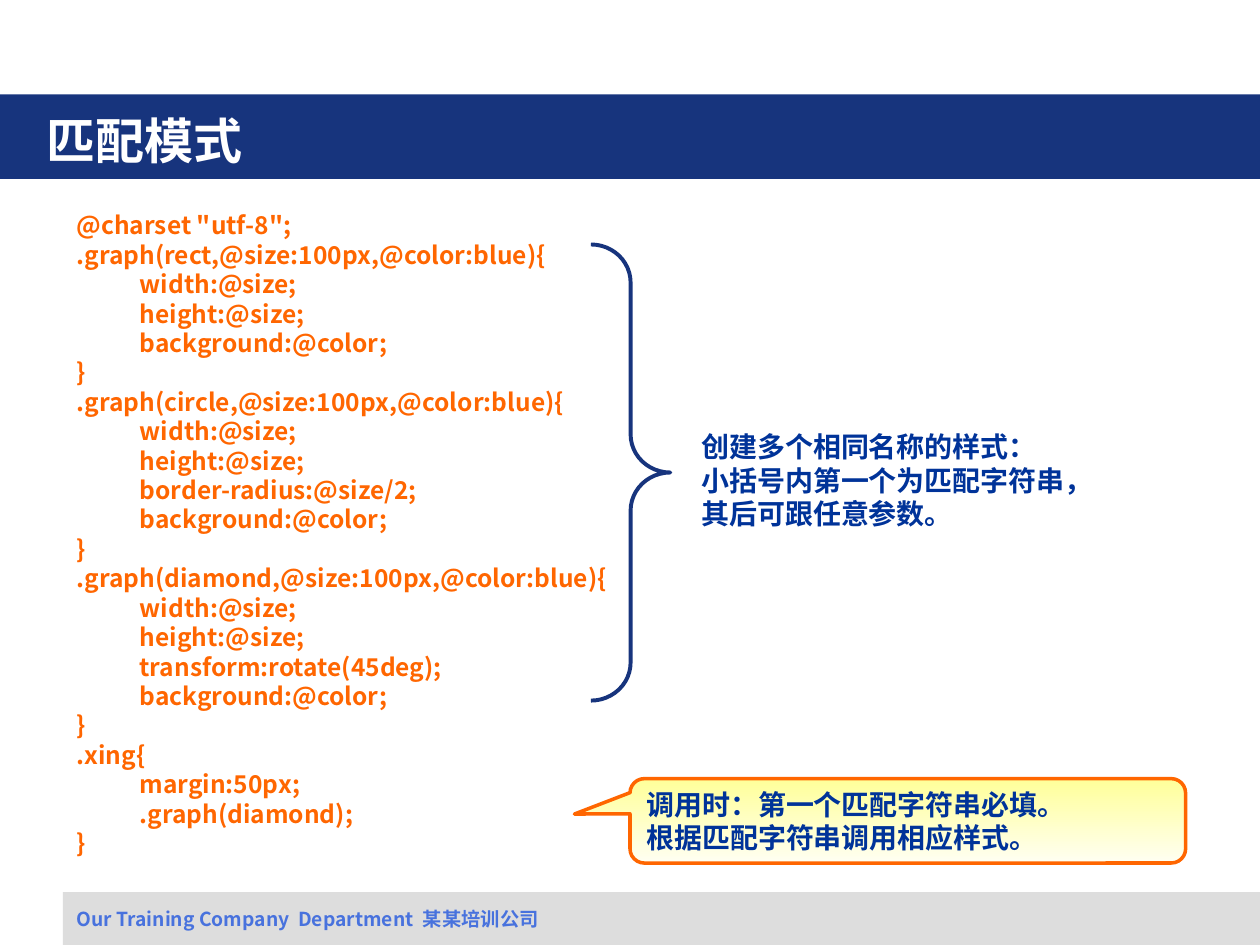
import pptx
import pptx.dml.color
import pptx.enum.shapes
import pptx.enum.text
import pptx.oxml.ns
import pptx.util
from lxml import etree

CELL = 0.1
FONT = "Noto Sans CJK SC"
NAVY, ORANGE, INK = "17347D", "FF6600", "003399"
SHAPE = pptx.enum.shapes.MSO_SHAPE
ANCHOR = pptx.enum.text.MSO_ANCHOR

SIZES = ["width:@size;", "height:@size;"]
FILL = "background:@color;"
RULES = [
    (".graph(rect,@size:100px,@color:blue){", SIZES + [FILL]),
    (".graph(circle,@size:100px,@color:blue){", SIZES + ["border-radius:@size/2;", FILL]),
    (".graph(diamond,@size:100px,@color:blue){", SIZES + ["transform:rotate(45deg);", FILL]),
    (".xing{", ["margin:50px;", ".graph(diamond);"]),
]


def rgb(code):
    """Turn a hex string into a colour."""
    return pptx.dml.color.RGBColor.from_string(code)


def grid(*cells):
    """Turn columns and rows of the slide grid into lengths."""
    return [pptx.util.Inches(cell * CELL) for cell in cells]


def write(frame, lines, size, color, anchor=ANCHOR.TOP):
    """Write one left-aligned bold paragraph per line."""
    frame_format = {"word_wrap": True, "vertical_anchor": anchor,
                    "auto_size": pptx.enum.text.MSO_AUTO_SIZE.NONE}
    for key, value in frame_format.items():
        setattr(frame, key, value)
    paragraph_format = {"alignment": pptx.enum.text.PP_ALIGN.LEFT,
                        "line_spacing": pptx.util.Pt(size * 1.2)}
    font_format = {"name": FONT, "size": pptx.util.Pt(size), "bold": True}
    for index, line in enumerate(lines):
        paragraph = frame.add_paragraph() if index else frame.paragraphs[0]
        for key, value in paragraph_format.items():
            setattr(paragraph, key, value)
        run = paragraph.add_run()
        run.text = line
        for key, value in font_format.items():
            setattr(run.font, key, value)
        run.font.color.rgb = rgb(color)
        east_asian = etree.SubElement(run.font._element, pptx.oxml.ns.qn("a:ea"))
        east_asian.set("typeface", FONT)


def add_band(slide, place, color):
    """Add a plain filled band."""
    band = slide.shapes.add_shape(SHAPE.RECTANGLE, *grid(*place))
    band.shadow.inherit = False
    band.fill.solid()
    band.fill.fore_color.rgb = rgb(color)
    band.line.fill.background()


def add_title(slide, place, text):
    """Place the title in front of its band."""
    title = slide.shapes.title
    for key, value in zip(("left", "top", "width", "height"), grid(*place)):
        setattr(title, key, value)
    write(title.text_frame, [text], 28, "FFFFFF", ANCHOR.MIDDLE)
    title._element.getparent().append(title._element)


def add_text(slide, place, lines, size, color):
    """Add a text box."""
    box = slide.shapes.add_textbox(*grid(*place))
    write(box.text_frame, lines, size, color)


def add_outlined(slide, kind, place, adjustments, color, width):
    """Add an outlined preset shape and return it."""
    outlined = slide.shapes.add_shape(kind, *grid(*place))
    outlined.shadow.inherit = False
    for index, value in enumerate(adjustments):
        outlined.adjustments[index] = value
    outlined.fill.background()
    outlined.line.color.rgb = rgb(color)
    outlined.line.width = pptx.util.Pt(width)
    return outlined


def add_callout(slide, place, lines):
    """Add the callout with its yellow gradient."""
    callout = add_outlined(slide, SHAPE.ROUNDED_RECTANGULAR_CALLOUT, place,
                           (-0.6, -0.08, 0.17), ORANGE, 2)
    callout.fill.gradient()
    callout.fill.gradient_angle = 270
    for stop, color in zip(callout.fill.gradient_stops, ("FFFF99", "FFFFF2")):
        stop.color.rgb = rgb(color)
    write(callout.text_frame, lines, 16, INK, ANCHOR.MIDDLE)


def code_lines():
    """List the lines of the style sheet with indented declarations."""
    lines = ['@charset "utf-8";']
    for selector, declarations in RULES:
        lines += [selector, *("\t" + item for item in declarations), "}"]
    return lines


def main():
    """Build the slide and save it."""
    deck = pptx.Presentation()
    deck.slide_width, deck.slide_height = grid(100, 75)
    slide = deck.slides.add_slide(deck.slide_layouts[5])
    add_band(slide, (5, 70.8, 95, 4.2), "DDDDDD")
    add_band(slide, (0, 7.5, 100, 6.7), NAVY)
    add_title(slide, (2.7, 8, 82.6, 6.2), "匹配模式")
    add_text(slide, (5.1, 71.5, 91.3, 2.9),
             ["Our Training Company  Department  某某培训公司"], 11, "4872DD")
    add_text(slide, (5.1, 16.2, 86.6, 52.4), code_lines(), 14, ORANGE)
    add_outlined(slide, SHAPE.RIGHT_BRACE, (46.9, 19.4, 6.3, 36.2), (0.48, 0.5), NAVY, 2.25)
    add_text(slide, (54.7, 33.6, 38.6, 9),
             ["创建多个相同名称的样式：", "小括号内第一个为匹配字符串，", "其后可跟任意参数。"], 16, INK)
    add_callout(slide, (50, 61.8, 44.1, 6.7),
                ["调用时：第一个匹配字符串必填。", "根据匹配字符串调用相应样式。"])
    deck.save("out.pptx")


if __name__ == "__main__":
    main()
